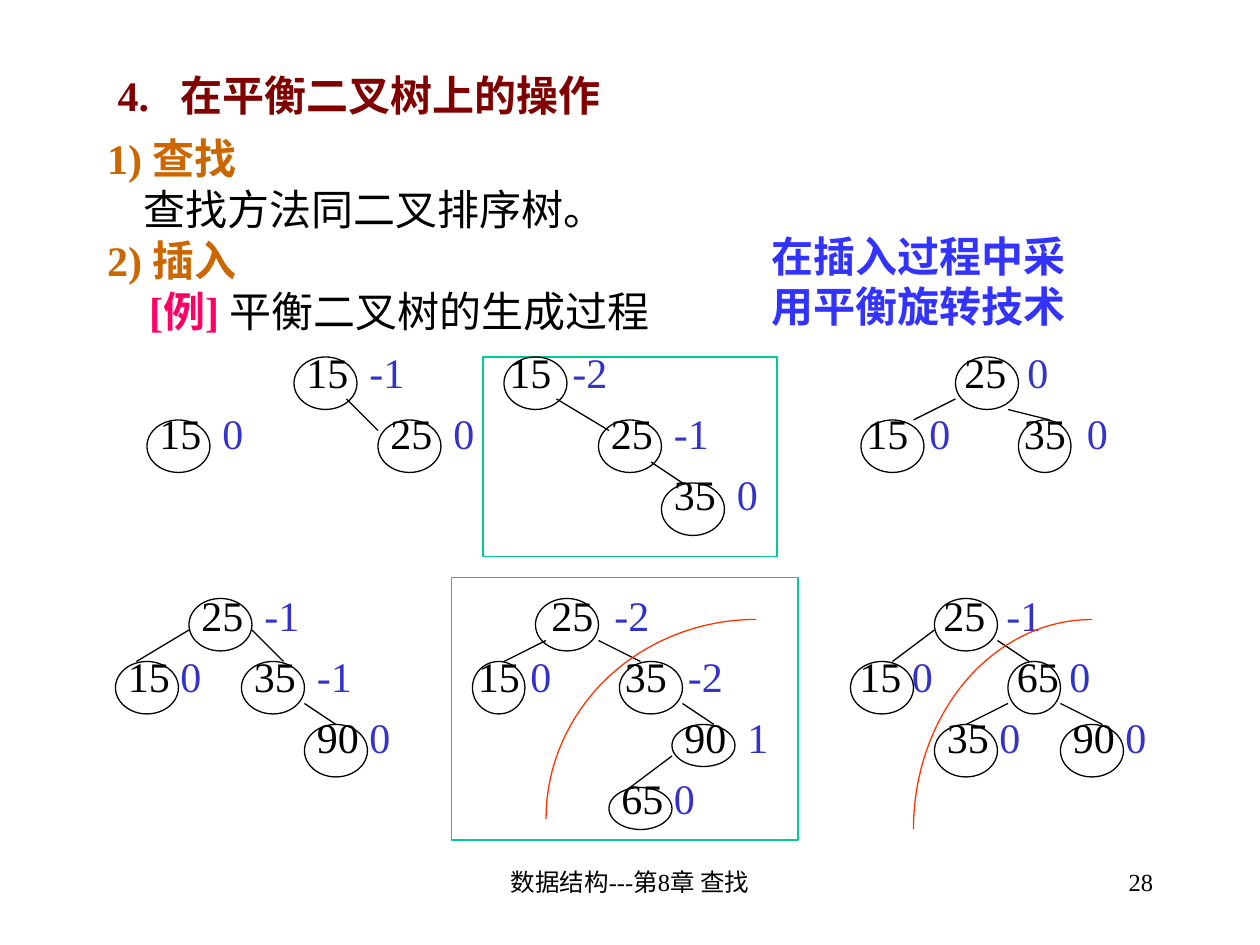
from math import cos, pi, sin

from lxml import etree
from pptx import Presentation
from pptx.dml.color import RGBColor
from pptx.enum.shapes import MSO_CONNECTOR, MSO_SHAPE
from pptx.enum.text import MSO_ANCHOR, MSO_AUTO_SIZE, PP_ALIGN
from pptx.oxml.ns import qn
from pptx.util import Inches, Pt

OVAL, RECTANGLE = MSO_SHAPE.OVAL, MSO_SHAPE.RECTANGLE
STRAIGHT = MSO_CONNECTOR.STRAIGHT
LEFT, CENTER, RIGHT = PP_ALIGN.LEFT, PP_ALIGN.CENTER, PP_ALIGN.RIGHT

BLACK = RGBColor(0x00, 0x00, 0x00)
MAROON = RGBColor(0x80, 0x00, 0x00)
ORANGE = RGBColor(0xCC, 0x66, 0x00)
PINK = RGBColor(0xFF, 0x00, 0x66)
BALANCE_BLUE = RGBColor(0x33, 0x33, 0xCC)
REMARK_BLUE = RGBColor(0x33, 0x33, 0xFF)
FRAME_GREEN = RGBColor(0x00, 0xCC, 0x99)
ARC_RED = RGBColor(0xFF, 0x33, 0x00)

FONT = "Times New Roman"
CELL = Inches(1) / 12  # the slide is a grid of 120 columns by 90 rows
NODE_WIDTH, NODE_HEIGHT = 6, 5
ARC_STEPS = 32

# Node: column, row and, if unusual, width and height. Edge: two points.
# All are relative to the tree's origin.
TREES = [
    dict(origin=(14, 40), nodes=[(0, 0)], edges=[]),
    dict(origin=(28, 34), nodes=[(0, 0), (8, 6)], edges=[(5, 4, 8, 7)]),
    dict(origin=(46, 34), frame=(28, 19), nodes=[(2, 0), (11, 6), (17, 12)],
         edges=[(7, 4, 12, 7), (16, 10, 19, 12)]),
    dict(origin=(82, 34), nodes=[(9, 0), (0, 6), (15, 6, 5)],
         edges=[(9, 4, 5, 6), (14, 5, 18, 6)]),
    dict(origin=(11, 57), nodes=[(7, 0), (0, 6), (12, 6), (18, 12)],
         edges=[(7, 3, 2, 6), (13, 3, 16, 6), (18, 10, 21, 12)]),
    dict(origin=(43, 55), frame=(33, 25), arc=(9, 4, 20, 19),
         nodes=[(8, 2), (2, 8, 5), (16, 8), (21, 14, 6, 4), (15, 20, 6, 4)],
         edges=[(9, 6, 5, 8), (14, 6, 18, 8), (22, 12, 25, 14), (21, 17, 17, 20)]),
    dict(origin=(81, 57), arc=(6, 2, 17, 20),
         nodes=[(8, 0), (0, 6), (15, 6, 5), (8, 12), (20, 12)],
         edges=[(8, 3, 4, 6), (14, 4, 17, 6), (15, 10, 11, 12), (20, 10, 24, 12)]),
]

# Space before in points, then key column, key, balance column, balance.
KEY_ROWS = [
    (0, [(19, "15", 25, "-1"), (38.33, "15", 44.33, "-2"), (81.67, "25", 87.67, "0")]),
    (6, [(5, "15", 11, "0"), (27, "25", 33, "0"), (48, "25", 54, "-1"),
         (72.33, "15", 78.33, "0"), (87.33, "35", 93.33, "0")]),
    (6, [(54, "35", 60, "0")]),
    (40.5, [(9, "25", 15, "-1"), (42.33, "25", 48.33, "-2"), (79.67, "25", 85.67, "-1")]),
    (6, [(2, "15", 7, "0"), (14, "35", 20, "-1"), (35.33, "15", 40.33, "0"),
         (49.33, "35", 55.33, "-2"), (71.67, "15", 76.67, "0"), (86.67, "65", 91.67, "0")]),
    (6, [(20, "90", 25, "0"), (55, "90", 61, "1"), (80, "35", 85, "0"), (92, "90", 97, "0")]),
    (6, [(49, "65", 54, "0")]),
]


def grid(*cells):
    return [round(cell * CELL) for cell in cells]


def place(shape, box):
    shape.left, shape.top, shape.width, shape.height = grid(*box)


def set_indent(paragraph, indent):
    """Remove the bullet and set the left margin, in columns."""
    properties = paragraph._p.get_or_add_pPr()
    properties.set("marL", str(grid(indent)[0]))
    properties.set("indent", "0")
    etree.SubElement(properties, qn("a:buNone"))


def add_tab_stops(paragraph, stops):
    tabs = etree.SubElement(paragraph._p.get_or_add_pPr(), qn("a:tabLst"))
    for stop in grid(*stops):
        etree.SubElement(tabs, qn("a:tab"), pos=str(stop), algn="l")


def set_font(paragraph, size, color=BLACK, bold=False):
    font = paragraph.font
    font.name, font.size, font.bold = FONT, Pt(size), bold
    font.color.rgb = color


def set_spacing(paragraph, line, before):
    paragraph.line_spacing, paragraph.space_before = Pt(line), Pt(before)


def add_run(paragraph, text, color, bold=False):
    run = paragraph.add_run()
    run.text = text
    run.font.bold = bold
    run.font.color.rgb = color


def add_label(slide, box, text, size, color=BLACK, bold=False, alignment=LEFT):
    shape = slide.shapes.add_textbox(*grid(*box))
    shape.text_frame.word_wrap = True
    paragraph = shape.text_frame.paragraphs[0]
    paragraph.text, paragraph.alignment = text, alignment
    set_font(paragraph, size, color, bold)


def fill_title(title, box):
    place(title, box)
    title.text_frame.vertical_anchor = MSO_ANCHOR.MIDDLE
    title.text_frame.auto_size = MSO_AUTO_SIZE.NONE
    paragraph = title.text_frame.paragraphs[0]
    paragraph.text, paragraph.alignment = "4.\t在平衡二叉树上的操作", LEFT
    add_tab_stops(paragraph, [6])
    set_font(paragraph, 24, MAROON, True)


def fill_headings(body, box):
    place(body, box)
    frame = body.text_frame
    frame.auto_size = MSO_AUTO_SIZE.NONE
    headings = [
        (0, [("1) 查找", ORANGE, True)]),
        (3.5, [("查找方法同二叉排序树。", BLACK, False)]),
        (0, [("2) 插入", ORANGE, True)]),
        (4, [("[例] ", PINK, True), ("平衡二叉树的生成过程", BLACK, False)]),
    ]
    for number, (indent, runs) in enumerate(headings):
        paragraph = frame.add_paragraph() if number else frame.paragraphs[0]
        set_indent(paragraph, indent)
        set_spacing(paragraph, 23.1, 6 if number else 0)
        set_font(paragraph, 24)
        for run in runs:
            add_run(paragraph, *run)


def add_key_rows(slide, box):
    """Write the keys and balance factors of all trees, row by row."""
    frame = slide.shapes.add_textbox(*grid(*box)).text_frame
    frame.word_wrap = True
    for number, (space_before, entries) in enumerate(KEY_ROWS):
        paragraph = frame.add_paragraph() if number else frame.paragraphs[0]
        add_tab_stops(paragraph, [stop for entry in entries for stop in entry[::2]])
        set_spacing(paragraph, 28.8, space_before)
        set_font(paragraph, 24)
        for _, key, _, balance in entries:
            add_run(paragraph, "\t" + key, BLACK)
            add_run(paragraph, "\t" + balance, BALANCE_BLUE)


def set_outline(shape, color):
    shape.shadow.inherit = False
    shape.fill.background()
    shape.line.color.rgb = color
    shape.line.width = Pt(0.75)


def add_arc(slide, left, top, width, height):
    """Draw the upper left quarter of an ellipse across the box."""
    angles = [pi / 2 * step / ARC_STEPS for step in range(ARC_STEPS + 1)]
    points = [grid(left + width * (1 - sin(angle)), top + height * (1 - cos(angle)))
              for angle in angles]
    builder = slide.shapes.build_freeform(*points[0], scale=1.0)
    builder.add_line_segments(points[1:], close=False)
    set_outline(builder.convert_to_shape(), ARC_RED)


def add_tree(slide, origin, nodes, edges, frame=None, arc=None):
    left, top = origin
    if frame:
        set_outline(slide.shapes.add_shape(RECTANGLE, *grid(left, top, *frame)), FRAME_GREEN)
    for column, row, *size in nodes:
        width, height = size + [NODE_WIDTH, NODE_HEIGHT][len(size):]
        box = grid(left + column, top + row, width, height)
        set_outline(slide.shapes.add_shape(OVAL, *box), BLACK)
    for x1, y1, x2, y2 in edges:
        ends = grid(left + x1, top + y1, left + x2, top + y2)
        edge = slide.shapes.add_connector(STRAIGHT, *ends)
        edge.line.color.rgb = BLACK
        edge.line.width = Pt(0.75)
        etree.SubElement(edge._element.spPr, qn("a:effectLst"))
    if arc:
        column, row, width, height = arc
        add_arc(slide, left + column, top + row, width, height)


def main():
    presentation = Presentation()
    presentation.slide_width, presentation.slide_height = Inches(10), Inches(7.5)
    slide = presentation.slides.add_slide(presentation.slide_layouts[1])
    fill_title(slide.shapes.title, (10, 6, 102, 6))
    fill_headings(slide.placeholders[1], (9, 13, 102, 19.4))
    add_key_rows(slide, (9, 32.4, 102, 47.6))
    for tree in TREES:
        add_tree(slide, **tree)
    add_label(slide, (72.25, 21.33, 31.25, 10.83), "在插入过程中采用平衡旋转技术",
              24, REMARK_BLUE, True)
    add_label(slide, (41, 82, 38, 6), "数据结构---第8章 查找", 14, alignment=CENTER)
    add_label(slide, (86, 82, 25, 6), "28", 14, alignment=RIGHT)
    presentation.save("out.pptx")


if __name__ == "__main__":
    main()
